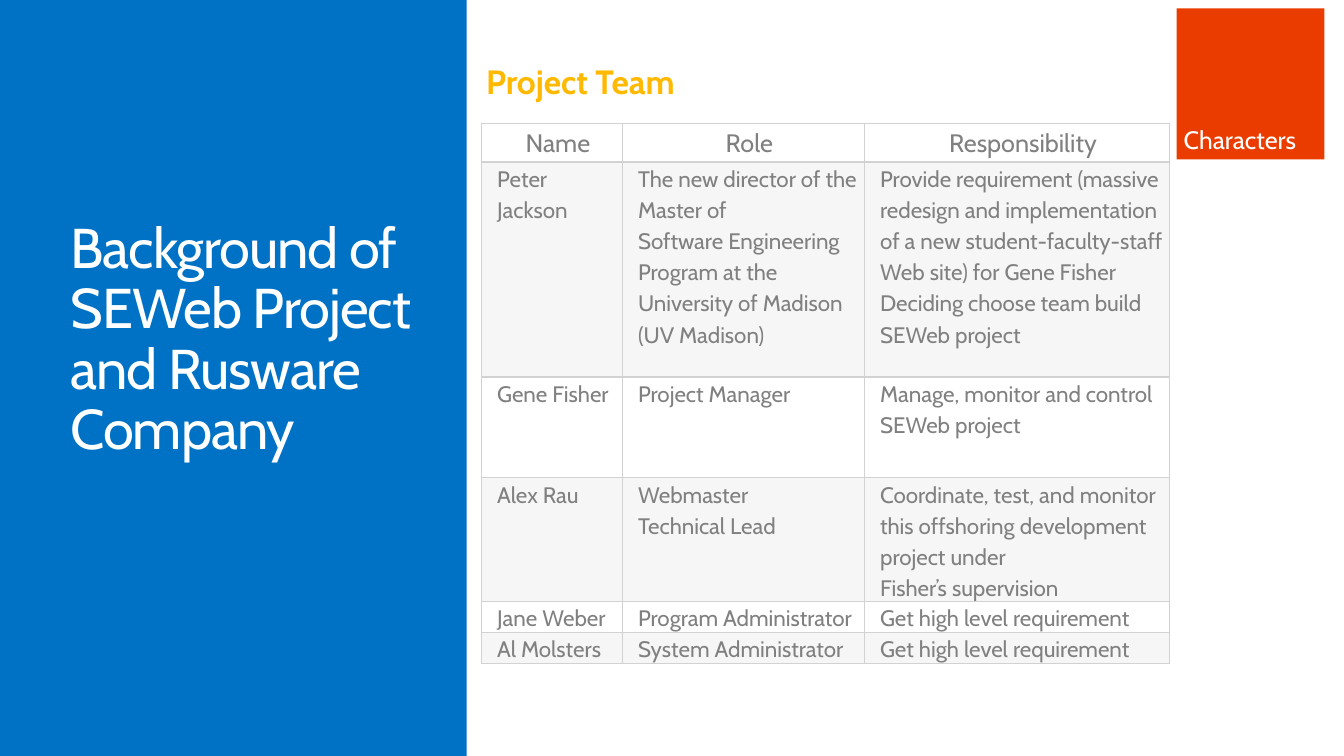
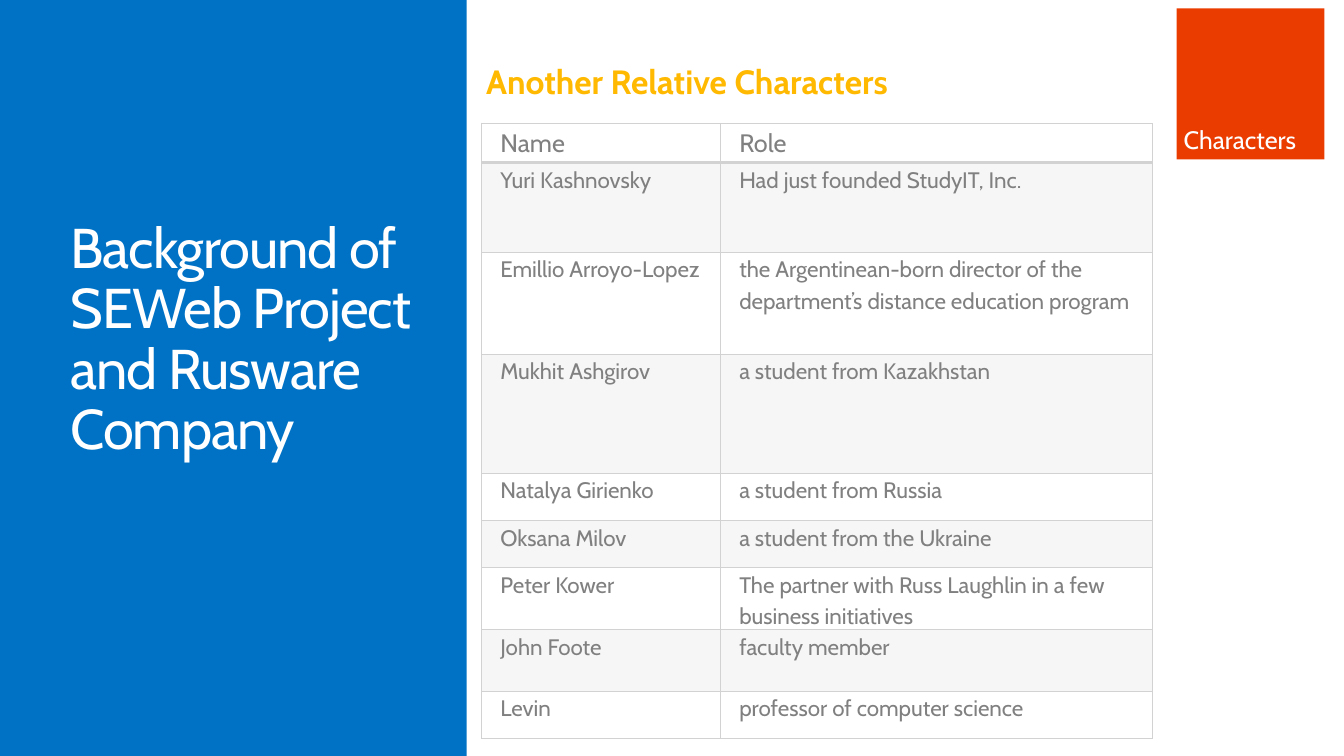
from dataclasses import dataclass

import pptx
import pptx.dml.color
import pptx.enum.shapes
import pptx.enum.text
import pptx.oxml
import pptx.oxml.ns
import pptx.slide
import pptx.table
import pptx.text.text
import pptx.util

Cm = pptx.util.Cm
Pt = pptx.util.Pt
Align = pptx.enum.text.PP_ALIGN

FONT = "Cabin"
COLORS = {
    "blue": "0072C6",
    "red": "EB3C00",
    "gold": "FFB900",
    "gray": "808080",
    "rule": "D2D2D2",
    "band": "F6F6F6",
    "white": "FFFFFF",
}
SECTION = "Background of SEWeb Project and Rusware Company"
BADGE = "Characters"


@dataclass(frozen=True)
class Box:
    left: float
    top: float
    width: float
    height: float

    def lengths(self) -> tuple[int, int, int, int]:
        return Cm(self.left), Cm(self.top), Cm(self.width), Cm(self.height)


@dataclass(frozen=True)
class Label:
    text: str
    box: Box
    size: float
    color: str
    bold: bool = False
    tracking: float = 0
    line_spacing: float = 1.0
    inset: tuple[float, float] = (0, 0)
    wrap: bool = True


@dataclass(frozen=True)
class Roster:
    heading: str
    columns: tuple[float, ...]
    heights: tuple[float, ...]
    rows: tuple[tuple[str, ...], ...]
    inset: float
    header_align: Align


SECTION_LABEL = Label(SECTION, Box(1.78, 5.54, 9.12, 8.03), 40, "white",
                      tracking=-0.7, line_spacing=0.9)

ROSTERS = (
    Roster(
        "Project Team",
        (3.55, 6.1, 7.69),
        (0.97, 5.42, 2.54, 3.1, 0.78, 0.78),
        (
            ("Name", "Role", "Responsibility"),
            ("Peter Jackson",
             "The new director of the Master of\n"
             "Software Engineering Program at the University of Madison (UV Madison)",
             "Provide requirement (massive redesign and implementation of a new "
             "student-faculty-staff Web site) for Gene Fisher\n"
             "Deciding choose team build SEWeb project"),
            ("Gene Fisher", "Project Manager",
             "Manage, monitor and control SEWeb project"),
            ("Alex Rau", "Webmaster\nTechnical Lead",
             "Coordinate, test, and monitor this offshoring development project under\n"
             "Fisher’s supervision"),
            ("Jane Weber", "Program Administrator", "Get high level requirement"),
            ("Al Molsters", "System Administrator", "Get high level requirement"),
        ),
        0.1,
        Align.CENTER,
    ),
    Roster(
        "Another Relative Characters",
        (6.02, 10.88),
        (0.99, 2.26, 2.57, 3.0, 1.19, 1.19, 1.56, 1.55, 1.19),
        (
            ("Name", "Role"),
            ("Yuri Kashnovsky", "Had just founded StudyIT, Inc."),
            ("Emillio Arroyo-Lopez",
             "the Argentinean-born director of the department’s distance education program"),
            ("Mukhit Ashgirov", "a student from Kazakhstan"),
            ("Natalya Girienko", "a student from Russia"),
            ("Oksana Milov", "a student from the Ukraine"),
            ("Peter Kower", "The partner with Russ Laughlin in a few business initiatives"),
            ("John Foote", "faculty member"),
            ("Levin", "professor of computer science"),
        ),
        0.18,
        Align.LEFT,
    ),
)


def rgb(name: str) -> pptx.dml.color.RGBColor:
    return pptx.dml.color.RGBColor.from_string(COLORS[name])


def write(frame: pptx.text.text.TextFrame, text: str, *, size: float, color: str,
          bold: bool = False, tracking: float = 0, line_spacing: float = 1.0,
          align: Align = Align.LEFT, indent: float = 0) -> None:
    for index, line in enumerate(text.split("\n")):
        paragraph = frame.add_paragraph() if index else frame.paragraphs[0]
        paragraph.alignment = align
        paragraph.line_spacing = line_spacing
        if indent:
            properties = paragraph._p.get_or_add_pPr()
            properties.set("marL", str(int(Cm(indent))))
            properties.set("indent", "0")
        run = paragraph.add_run()
        run.text = line
        run.font.name = FONT
        run.font.size = Pt(size)
        run.font.bold = bold
        run.font.color.rgb = rgb(color)
        if tracking:
            run._r.get_or_add_rPr().set("spc", str(round(tracking * 100)))


def set_insets(frame: pptx.text.text.TextFrame, side: float, end: float) -> None:
    frame.margin_left = frame.margin_right = Cm(side)
    frame.margin_top = frame.margin_bottom = Cm(end)


def add_label(slide: pptx.slide.Slide, label: Label) -> None:
    frame = slide.shapes.add_textbox(*label.box.lengths()).text_frame
    frame.word_wrap = label.wrap
    set_insets(frame, *label.inset)
    write(frame, label.text, size=label.size, color=label.color, bold=label.bold,
          tracking=label.tracking, line_spacing=label.line_spacing)


def add_block(slide: pptx.slide.Slide, box: Box, color: str) -> pptx.text.text.TextFrame:
    block = slide.shapes.add_shape(
        pptx.enum.shapes.MSO_SHAPE.RECTANGLE, *box.lengths())
    block.shadow.inherit = False
    block.fill.solid()
    block.fill.fore_color.rgb = rgb(color)
    block.line.fill.background()
    return block.text_frame


def add_borders(cell: pptx.table._Cell, top: float, bottom: float) -> None:
    namespace = pptx.oxml.ns.nsdecls("a")
    for side, width in (("L", 1), ("R", 1), ("T", top), ("B", bottom)):
        cell._tc.get_or_add_tcPr().append(pptx.oxml.parse_xml(
            f'<a:ln{side} {namespace} w="{int(Pt(width))}"><a:solidFill>'
            f'<a:srgbClr val="{COLORS["rule"]}"/></a:solidFill></a:ln{side}>'))


def add_frame(slide: pptx.slide.Slide) -> None:
    add_block(slide, Box(0, 0, 11.76, 19.05), "blue")
    add_label(slide, SECTION_LABEL)
    badge = add_block(slide, Box(29.65, 0.21, 3.73, 3.81), "red")
    badge.word_wrap = True
    badge.vertical_anchor = pptx.enum.text.MSO_ANCHOR.BOTTOM
    set_insets(badge, 0.18, 0.13)
    write(badge, BADGE, size=18, color="white")


def add_roster(slide: pptx.slide.Slide, roster: Roster) -> None:
    box = Box(12.14, 3.11, sum(roster.columns), sum(roster.heights))
    table = slide.shapes.add_table(
        len(roster.rows), len(roster.columns), *box.lengths()).table
    table.first_row = table.horz_banding = False
    for column, width in zip(table.columns, roster.columns):
        column.width = Cm(width)
    for row, height in zip(table.rows, roster.heights):
        row.height = Cm(height)
    for row_index, texts in enumerate(roster.rows):
        is_header = row_index == 0
        for column_index, text in enumerate(texts):
            cell = table.cell(row_index, column_index)
            cell.margin_left = cell.margin_right = Cm(roster.inset)
            cell.margin_top = cell.margin_bottom = 0
            add_borders(cell, 2 if row_index == 1 else 1, 2 if is_header else 1)
            if row_index % 2:
                cell.fill.solid()
                cell.fill.fore_color.rgb = rgb("band")
            else:
                cell.fill.background()
            write(cell.text_frame, text, size=18 if is_header else 16, color="gray",
                  line_spacing=1.15, indent=0.29,
                  align=roster.header_align if is_header else Align.LEFT)


def main() -> None:
    deck = pptx.Presentation()
    deck.slide_width, deck.slide_height = Cm(33.87), Cm(19.05)
    for roster in ROSTERS:
        slide = deck.slides.add_slide(deck.slide_layouts[6])
        add_frame(slide)
        add_roster(slide, roster)
        add_label(slide, Label(roster.heading, Box(12, 1.4, 12, 1.27), 24, "gold",
                               bold=True, inset=(0.25, 0.13), wrap=False))
    deck.save("out.pptx")


if __name__ == "__main__":
    main()
